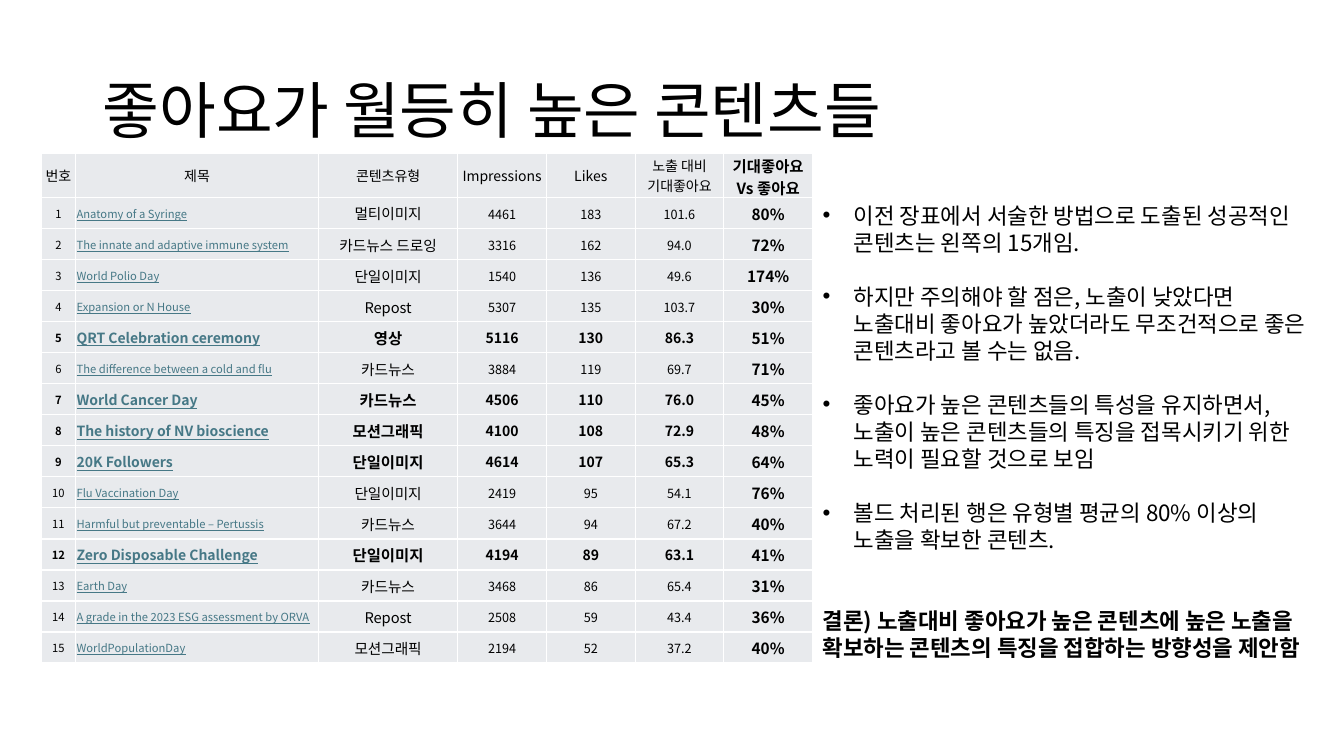
import pptx
import pptx.dml.color
import pptx.enum.text
import pptx.oxml
import pptx.oxml.ns
import pptx.util
from pptx.util import Inches

ALIGN = pptx.enum.text.PP_ALIGN
MIDDLE = pptx.enum.text.MSO_ANCHOR.MIDDLE
FONT = "Noto Sans CJK KR"
COLORS = {"text": "000000", "link": "467886", "cell": "E8EAED", "border": "FFFFFF"}

HEADERS = ["번호", "제목", "콘텐츠유형", "Impressions", "Likes",
           "노출 대비\n기대좋아요", "기대좋아요\nVs 좋아요"]
COL_WIDTHS = [0.34, 2.41, 1.38] + [0.88] * 4
CONTENTS = [
    ("Anatomy of a Syringe", "멀티이미지", "4461", "183", "101.6", "80%"),
    ("The innate and adaptive immune system", "카드뉴스 드로잉", "3316", "162", "94.0", "72%"),
    ("World Polio Day", "단일이미지", "1540", "136", "49.6", "174%"),
    ("Expansion or N House", "Repost", "5307", "135", "103.7", "30%"),
    ("QRT Celebration ceremony", "영상", "5116", "130", "86.3", "51%"),
    ("The difference between a cold and flu", "카드뉴스", "3884", "119", "69.7", "71%"),
    ("World Cancer Day", "카드뉴스", "4506", "110", "76.0", "45%"),
    ("The history of NV bioscience", "모션그래픽", "4100", "108", "72.9", "48%"),
    ("20K Followers", "단일이미지", "4614", "107", "65.3", "64%"),
    ("Flu Vaccination Day", "단일이미지", "2419", "95", "54.1", "76%"),
    ("Harmful but preventable – Pertussis", "카드뉴스", "3644", "94", "67.2", "40%"),
    ("Zero Disposable Challenge", "단일이미지", "4194", "89", "63.1", "41%"),
    ("Earth Day", "카드뉴스", "3468", "86", "65.4", "31%"),
    ("A grade in the 2023 ESG assessment by ORVA", "Repost", "2508", "59", "43.4", "36%"),
    ("WorldPopulationDay", "모션그래픽", "2194", "52", "37.2", "40%"),
]
BOLD_ROWS = {5, 7, 8, 9, 12}
# Sizes per column: number, title, type, three figures, ratio
PLAIN_SIZES = [8, 8, 10.5, 9, 9, 9, 11]
BOLD_SIZES = [8, 10, 11, 10, 10, 10, 11]
HEADER_HEIGHT = 0.44
ROW_HEIGHT = 4.62 / len(CONTENTS)

NOTES = [
    "이전 장표에서 서술한 방법으로 도출된 성공적인 콘텐츠는 왼쪽의 15개임.",
    "하지만 주의해야 할 점은, 노출이 낮았다면 노출대비 좋아요가 높았더라도 "
    "무조건적으로 좋은 콘텐츠라고 볼 수는 없음.",
    "좋아요가 높은 콘텐츠들의 특성을 유지하면서, 노출이 높은 콘텐츠들의 특징을 "
    "접목시키기 위한 노력이 필요할 것으로 보임",
    "볼드 처리된 행은 유형별 평균의 80% 이상의 노출을 확보한 콘텐츠.",
]
CONCLUSION = ("결론) 노출대비 좋아요가 높은 콘텐츠에 높은 노출을 확보하는 "
              "콘텐츠의 특징을 접합하는 방향성을 제안함")
NOTE_LINE = 19.3


def add_xml(parent, tag, **attrs):
    child = pptx.oxml.parse_xml(f'<a:{tag} {pptx.oxml.ns.nsdecls("a")}/>')
    for name, value in attrs.items():
        child.set(name, str(value))
    parent.append(child)
    return child


def rgb(name):
    return pptx.dml.color.RGBColor.from_string(COLORS[name])


def write(p, text, size=10, bold=False, color="text", underline=False,
          align=None, line=None, after=None, bullet=False):
    """Fill one paragraph with one formatted run."""
    p.alignment = align
    if line:
        p.line_spacing = line
    if after is not None:
        p.space_after = pptx.util.Pt(after)
    if bullet:
        pPr = p._p.get_or_add_pPr()
        indent = Inches(0.31)
        pPr.set("marL", str(indent))
        pPr.set("indent", str(-indent))
        add_xml(pPr, "buFont", typeface="Arial")
        add_xml(pPr, "buChar", char="•")
    r = p.add_run()
    r.text = text
    r.font.size = pptx.util.Pt(size)
    r.font.bold = bold
    r.font.underline = underline
    r.font.color.rgb = rgb(color)
    r.font.name = FONT
    add_xml(r._r.get_or_add_rPr(), "ea", typeface=FONT)


class Deck:
    def __init__(self):
        self.prs = pptx.Presentation()
        self.prs.slide_width = Inches(13.33)
        self.prs.slide_height = Inches(7.5)
        self.s = self.prs.slides.add_slide(self.prs.slide_layouts[6])

    def text(self, box, paragraphs, anchor=None):
        """Add a text box; paragraphs are (text, format) pairs."""
        tf = self.s.shapes.add_textbox(*map(Inches, box)).text_frame
        tf.word_wrap = True
        tf.vertical_anchor = anchor
        for i, (text, style) in enumerate(paragraphs):
            write(tf.add_paragraph() if i else tf.paragraphs[0], text, **style)

    def cell(self, cell, text, **style):
        cell.fill.solid()
        cell.fill.fore_color.rgb = rgb("cell")
        cell.vertical_anchor = MIDDLE
        cell.margin_left = cell.margin_right = cell.margin_top = Inches(0.01)
        cell.margin_bottom = 0
        tf = cell.text_frame
        for i, part in enumerate(text.split("\n")):
            write(tf.add_paragraph() if i else tf.paragraphs[0], part, **style)
        tcPr = cell._tc.get_or_add_tcPr()
        for i, side in enumerate(("lnL", "lnR", "lnT", "lnB")):
            ln = add_xml(tcPr, side, w=pptx.util.Pt(1))
            add_xml(add_xml(ln, "solidFill"), "srgbClr", val=COLORS["border"])
            tcPr.insert(i, ln)

    def content_table(self, left, top):
        height = HEADER_HEIGHT + ROW_HEIGHT * len(CONTENTS)
        table = self.s.shapes.add_table(
            len(CONTENTS) + 1, len(HEADERS), Inches(left), Inches(top),
            Inches(sum(COL_WIDTHS)), Inches(height)).table
        for col, width in zip(table.columns, COL_WIDTHS):
            col.width = Inches(width)
        for i, row in enumerate(table.rows):
            row.height = Inches(ROW_HEIGHT if i else HEADER_HEIGHT)
        last = len(HEADERS) - 1
        for c, header in enumerate(HEADERS):
            self.cell(table.cell(0, c), header, size=11 if c == last else 10,
                      bold=c == last, align=ALIGN.CENTER)
        for n, content in enumerate(CONTENTS, 1):
            bold = n in BOLD_ROWS
            sizes = BOLD_SIZES if bold else PLAIN_SIZES
            for c, text in enumerate((str(n), *content)):
                link = c == 1
                self.cell(table.cell(n, c), text, size=sizes[c],
                          bold=bold or c == last, underline=link,
                          color="link" if link else "text",
                          align=ALIGN.LEFT if link else ALIGN.CENTER)


def main():
    deck = Deck()
    deck.text((0.92, 0.4, 11.5, 1.45),
              [("좋아요가 월등히 높은 콘텐츠들", {"size": 44, "line": 0.9})], anchor=MIDDLE)
    deck.content_table(0.41, 1.52)
    note = {"size": 16, "line": pptx.util.Pt(NOTE_LINE)}
    notes = [(text, {**note, "bullet": True, "after": NOTE_LINE}) for text in NOTES]
    notes[-1][1]["after"] = 2 * NOTE_LINE
    deck.text((8.06, 1.95, 5.02, 4.68), notes + [(CONCLUSION, {**note, "bold": True})])
    deck.prs.save("out.pptx")


if __name__ == "__main__":
    main()
